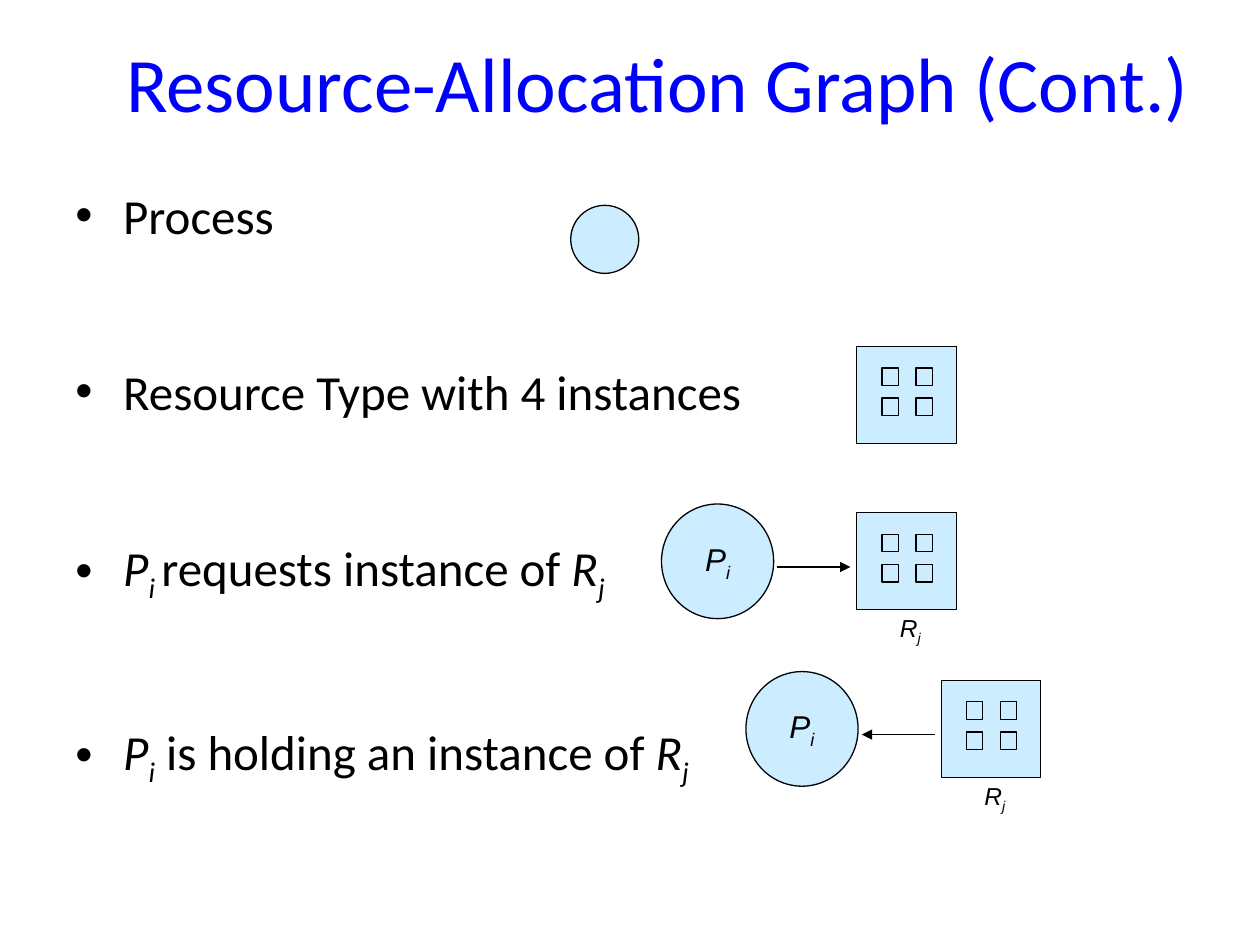
from itertools import product

from lxml.etree import SubElement
from pptx import Presentation
from pptx.dml.color import RGBColor
from pptx.enum.shapes import MSO_CONNECTOR as Line, MSO_SHAPE as Shape
from pptx.enum.text import MSO_ANCHOR as Anchor, PP_ALIGN as Align
from pptx.oxml.ns import qn
from pptx.util import Inches, Pt

BLUE, BLACK, PALE = "0000FF", "000000", "CCECFF"
TITLE = [("Resource-Allocation Graph (Cont.)", "plain")]
PROCESS = [("P", "italic"), ("i", "sub")]
RESOURCE = [("R", "italic"), ("j", "sub")]
BULLETS = [
    [("Process", "plain")],
    [("Resource Type with 4 instances", "plain")],
    [("P", "italic"), ("i ", "sub"), ("requests instance of ", "plain"), *RESOURCE],
    [*PROCESS, (" is holding an instance of ", "plain"), *RESOURCE],
]
EDGES = [
    {"left": 5.25, "top": 4.0, "holding": False},
    {"left": 5.92, "top": 5.33, "holding": True},
]


def color(value):
    return RGBColor.from_string(value)


def write(paragraph, pieces, size, font, ink=BLACK):
    for words, style in pieces:
        run = paragraph.add_run()
        run.text = words
        run.font.size, run.font.name = Pt(size), font
        run.font.italic = style != "plain"
        run.font.color.rgb = color(ink)
        if style == "sub":
            run.font._element.set("baseline", "-25000")


def add_text(slide, box, pieces, size, font, ink=BLACK):
    frame = slide.shapes.add_textbox(*map(Inches, box)).text_frame
    frame.word_wrap = True
    frame.vertical_anchor = Anchor.MIDDLE
    frame.paragraphs[0].alignment = Align.CENTER
    write(frame.paragraphs[0], pieces, size, font, ink)


def add_bullets(slide, box):
    frame = slide.shapes.add_textbox(*map(Inches, box)).text_frame
    frame.word_wrap = True
    for index, pieces in enumerate(BULLETS):
        paragraph = frame.add_paragraph() if index else frame.paragraphs[0]
        paragraph.space_before = Pt(67 if index else 0)
        props = paragraph._p.get_or_add_pPr()
        props.set("marL", str(Inches(0.38)))
        props.set("indent", str(Inches(-0.38)))
        SubElement(props, qn("a:buFont")).set("typeface", "Arial")
        SubElement(props, qn("a:buChar")).set("char", "•")
        write(paragraph, pieces, 28, "Calibri")


def add_node(shapes, kind, *box):
    node = shapes.add_shape(kind, *map(Inches, box))
    node.shadow.inherit = False
    node.fill.solid()
    node.fill.fore_color.rgb = color(PALE)
    node.line.color.rgb = color(BLACK)
    node.line.width = Pt(0.75)
    return node


def add_resource(slide, left, top):
    group = slide.shapes.add_group_shape()
    add_node(group.shapes, Shape.RECTANGLE, left, top, 0.79, 0.77)
    for row, column in product(range(2), repeat=2):
        add_node(group.shapes, Shape.RECTANGLE, left + 0.2 + 0.27 * column,
                 top + 0.17 + 0.24 * row, 0.13, 0.14)


def add_arrow(slide, start, end, y):
    arrow = slide.shapes.add_connector(
        Line.STRAIGHT, *map(Inches, (start, y, end, y)))
    arrow.line.color.rgb = color(BLACK)
    arrow.line.width = Pt(0.75)
    SubElement(arrow.line._get_or_add_ln(), qn("a:tailEnd")).set("type", "triangle")
    SubElement(arrow._element.spPr, qn("a:effectLst"))


def add_edge(slide, left, top, holding):
    process = add_node(slide.shapes, Shape.OVAL, left, top, 0.89, 0.91)
    frame = process.text_frame
    frame.word_wrap = False
    frame.vertical_anchor = Anchor.MIDDLE
    frame.paragraphs[0].alignment = Align.CENTER
    write(frame.paragraphs[0], PROCESS, 18, "Arial")
    add_resource(slide, left + 1.55, top + 0.07)
    ends = (left + 0.92, left + 1.5)
    add_arrow(slide, *(reversed(ends) if holding else ends), top + 0.5)
    add_text(slide, (left + 1.67, top + 0.83, 0.61, 0.34), RESOURCE, 14, "Arial")


def main():
    """Build the resource-allocation graph slide."""
    deck = Presentation()
    deck.slide_width, deck.slide_height = Inches(10), Inches(7.5)
    slide = deck.slides.add_slide(deck.slide_layouts[6])
    add_text(slide, (0.5, 0.33, 9.44, 0.63), TITLE, 44, "Calibri", BLUE)
    add_bullets(slide, (0.5, 1.42, 8.03, 4.95))
    add_node(slide.shapes, Shape.OVAL, 4.53, 1.63, 0.54, 0.54)
    add_resource(slide, 6.8, 2.75)
    for edge in EDGES:
        add_edge(slide, **edge)
    deck.save("out.pptx")


if __name__ == "__main__":
    main()
